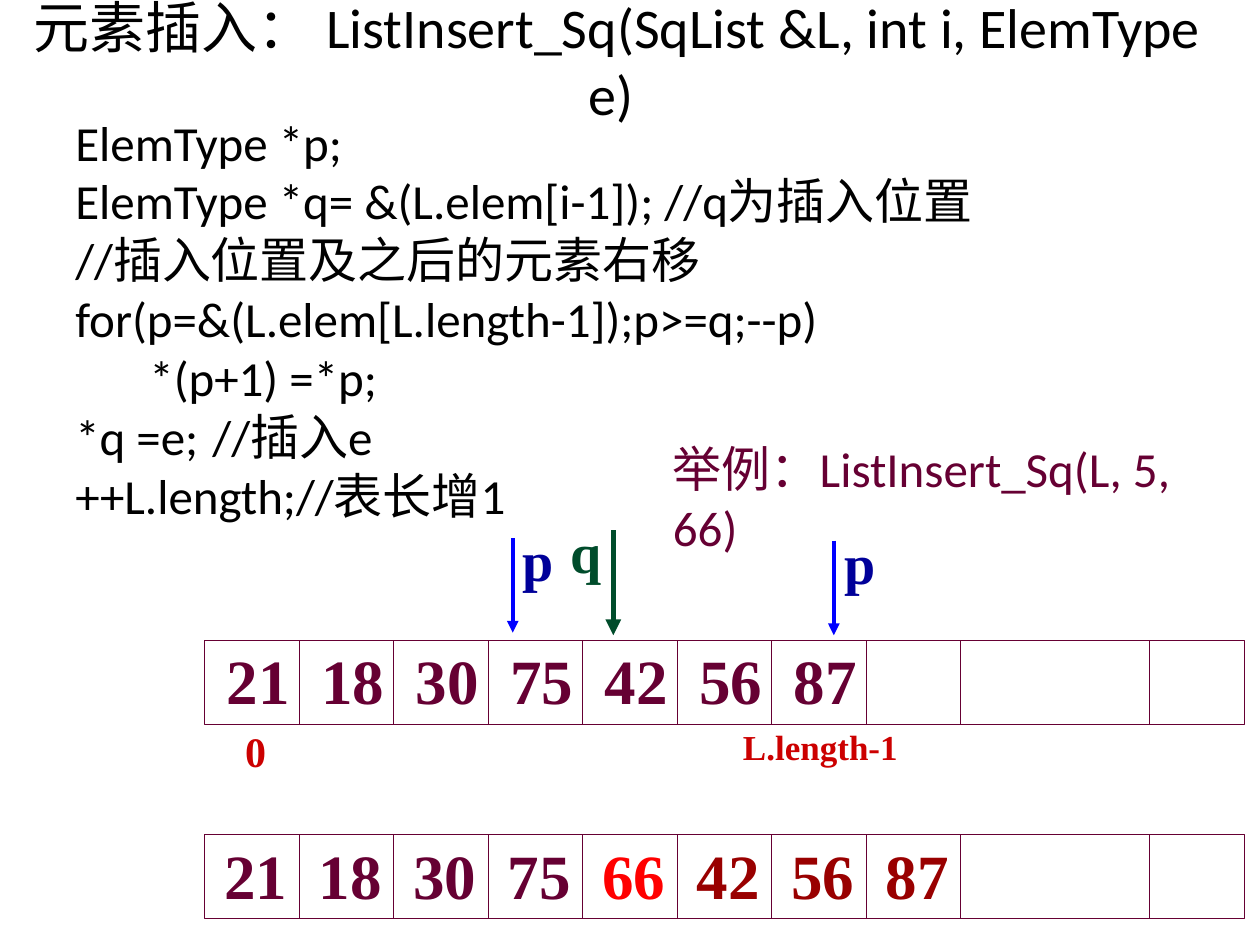
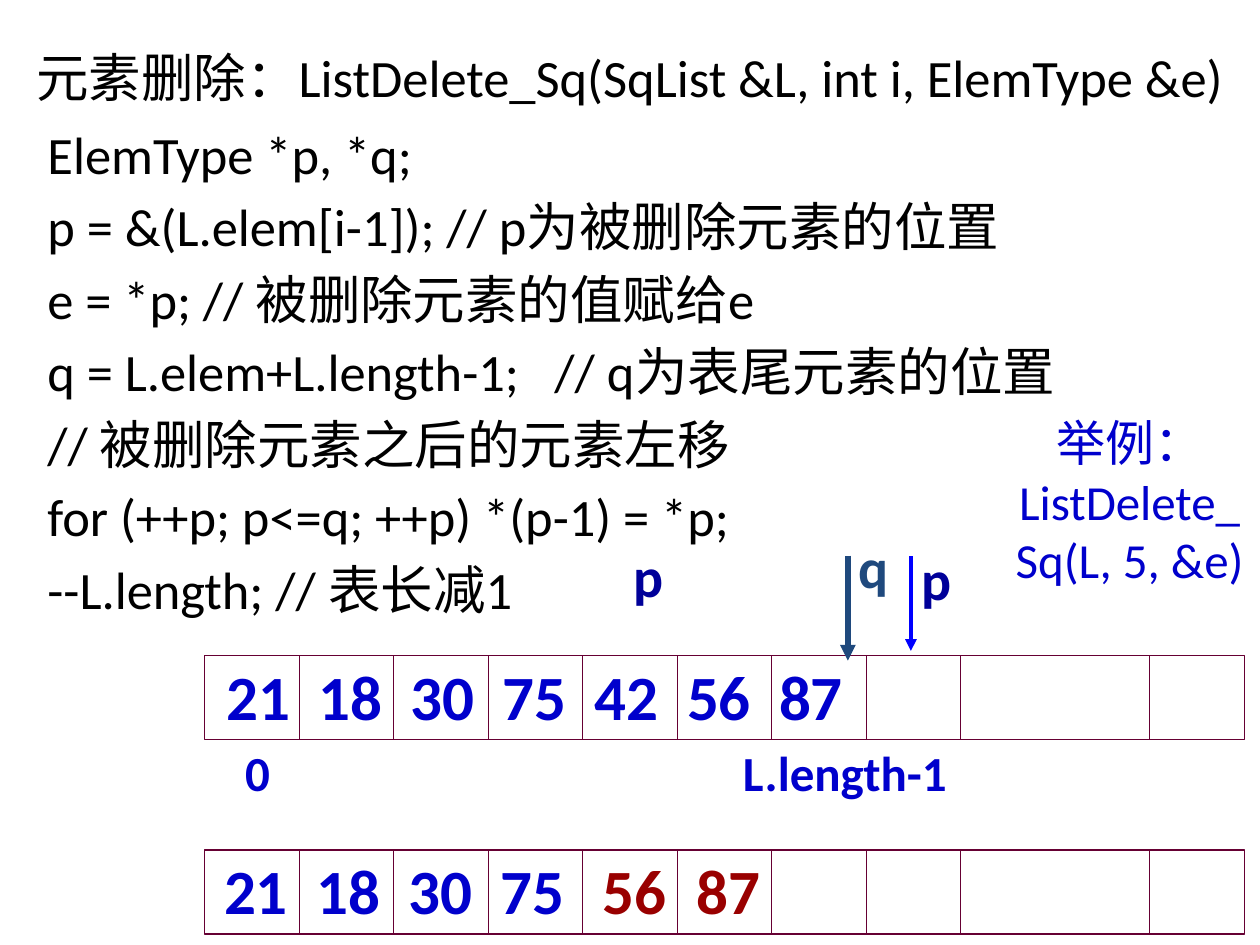
from lxml import etree
from pptx import Presentation
from pptx.dml.color import RGBColor
from pptx.enum.shapes import MSO_CONNECTOR, MSO_SHAPE
from pptx.enum.text import MSO_ANCHOR, PP_ALIGN
from pptx.oxml.ns import qn
from pptx.util import Pt

STRAIGHT = MSO_CONNECTOR.STRAIGHT
RECTANGLE = MSO_SHAPE.RECTANGLE
TOP, MIDDLE = MSO_ANCHOR.TOP, MSO_ANCHOR.MIDDLE
LEFT, CENTER = PP_ALIGN.LEFT, PP_ALIGN.CENTER

# Shared colours and fonts
BLACK, PLUM, BLUE = "000000", "660033", "0000CC"
INDEX_RED, MOVED_RED, NEW_RED = "CC0000", "990000", "FF0000"
P_LABEL, P_ARROW, Q_GREEN, Q_NAVY = "000099", "0000FF", "004C2B", "1F497D"
SANS, SERIF = "Calibri", "Times New Roman"

# Storage array: seven element cells, one spare, a wide gap, the last cell
ARRAY_LEFT, ARRAY_WIDTH, ARRAY_HEIGHT, CELL = 117, 594, 48, 54
DIVIDERS = [ARRAY_LEFT + CELL * n for n in (1, 2, 3, 4, 5, 6, 7, 8, 10)]
ROW_GAP = 111
VALUE_LEFT, VALUE_RISE = 121, 2.75

INSERT_CODE = [
    "ElemType *p;",
    "ElemType *q= &(L.elem[i-1]); //q为插入位置",
    "//插入位置及之后的元素右移\vfor(p=&(L.elem[L.length-1]);p>=q;--p)",
    "\t *(p+1) =*p;",
    "*q =e;\t //插入e",
    "++L.length;//表长增1",
]
DELETE_CODE = [
    "ElemType *p, *q;",
    "p = &(L.elem[i-1]); // p为被删除元素的位置",
    "e = *p; // 被删除元素的值赋给e",
    "q = L.elem+L.length-1;   // q为表尾元素的位置",
    "// 被删除元素之后的元素左移",
    "for (++p; p<=q; ++p) *(p-1) = *p;",
    "--L.length; // 表长减1",
]


def rgb(value):
    return RGBColor.from_string(value)


def add_tabs(paragraph, pitch, count):
    tabs = etree.SubElement(paragraph._p.get_or_add_pPr(), qn("a:tabLst"))
    for n in range(1, count):
        etree.SubElement(tabs, qn("a:tab"), pos=str(int(Pt(pitch * n))), algn="l")


def add_text(slide, box, lines, size, color, font=SANS, bold=False,
             align=LEFT, anchor=TOP, gap=0, tab_pitch=None):
    """Place lines of text, one paragraph each, in box (left, top, width, height)."""
    frame = slide.shapes.add_textbox(*map(Pt, box)).text_frame
    frame.word_wrap = True
    frame.vertical_anchor = anchor
    face = {"name": font, "size": Pt(size), "bold": bold}
    for n, line in enumerate(lines):
        paragraph = frame.add_paragraph() if n else frame.paragraphs[0]
        paragraph.text = line
        paragraph.alignment = align
        if n and gap:
            paragraph.space_before = Pt(gap)
        if tab_pitch:
            add_tabs(paragraph, tab_pitch, len(line.split("\t")))
        for run in paragraph.runs:
            for name, value in face.items():
                setattr(run.font, name, value)
            run.font.color.rgb = rgb(color)


def add_title(slide, box, text, size):
    add_text(slide, box, [text], size, BLACK, align=CENTER, anchor=MIDDLE)


def add_vertical(slide, x, top, length, color, width, arrow=False):
    line = slide.shapes.add_connector(STRAIGHT, Pt(x), Pt(top), Pt(x), Pt(top + length))
    line.line.color.rgb = rgb(color)
    line.line.width = Pt(width)
    if arrow:
        etree.SubElement(line.line._get_or_add_ln(), qn("a:tailEnd"), type="triangle")
    etree.SubElement(line._element.spPr, qn("a:effectLst"))


def add_array(slide, top):
    frame = slide.shapes.add_shape(RECTANGLE, *map(Pt, (ARRAY_LEFT, top, ARRAY_WIDTH, ARRAY_HEIGHT)))
    frame.shadow.inherit = False
    frame.fill.background()
    frame.line.color.rgb = rgb(PLUM)
    frame.line.width = Pt(0.75)
    for x in DIVIDERS:
        add_vertical(slide, x, top, ARRAY_HEIGHT, PLUM, 0.75)


def add_values(slide, left, row_top, values, color, font, pitch=CELL):
    box = (left, row_top - VALUE_RISE, pitch * len(values), 50.5)
    add_text(slide, box, ["\t".join(values)], 36, color, font, True, tab_pitch=pitch)


def add_before_after(slide, top, before, kept, moved, color, font, pitch):
    """Draw the array before the operation and, below it, after."""
    after_top = top + ROW_GAP
    add_array(slide, top)
    add_values(slide, VALUE_LEFT + 1.5, top, before, color, font, pitch)
    add_array(slide, after_top)
    add_values(slide, VALUE_LEFT, after_top, kept, color, font, pitch)
    for n, (value, value_color) in enumerate(moved, len(kept)):
        add_values(slide, VALUE_LEFT + CELL * n, after_top, [value], value_color, font)


def add_indexes(slide, top, color, font, first_size, last_size):
    add_text(slide, (133, top, 40, 40), ["0"], first_size, color, font, True)
    add_text(slide, (417.5, top, 150, 40), ["L.length-1"], last_size, color, font, True)


def add_label(slide, x, y, name, color, font):
    add_text(slide, (x, y, 34, 46), [name], 32, color, font, True)


def add_p(slide, x, top, font):
    add_vertical(slide, x, top, CELL, P_ARROW, 2.25, arrow=True)
    add_label(slide, x - 1.25, top - 10.5, "p", P_LABEL, font)


def add_q(slide, x, top, shift, rise, color, font):
    add_vertical(slide, x, top, 60, color, 3, arrow=True)
    add_label(slide, x + shift, top - rise, "q", color, font)


def build_insert(slide):
    add_title(slide, (0, -2, 705.5, 72.5),
              "元素插入： ListInsert_Sq(SqList &L, int i, ElemType e) ", 32)
    add_text(slide, (36, 60.5, 648, 479.5), INSERT_CODE, 28, BLACK)
    add_before_after(slide, 366, ["21", "18", "30", "75", "42", "56", "87"],
                     ["21", "18", "30", "75"],
                     [("66", NEW_RED), ("42", MOVED_RED), ("56", MOVED_RED), ("87", MOVED_RED)],
                     PLUM, SERIF, CELL)
    add_indexes(slide, 411, INDEX_RED, SERIF, 24, 20)
    add_p(slide, 293, 307.5, SERIF)
    add_p(slide, 476.5, 309, SERIF)
    add_q(slide, 350.5, 303, -31.5, 11, Q_GREEN, SERIF)
    add_text(slide, (377.5, 247, 341, 63), ["举例：ListInsert_Sq(L, 5, 66)"], 28, PLUM)


def build_delete(slide):
    add_title(slide, (0, 4.5, 720, 78.5),
              "元素删除：ListDelete_Sq(SqList &L, int i, ElemType &e)", 30)
    add_text(slide, (20, 66, 675, 436), DELETE_CODE, 30, BLACK, gap=5.4)
    add_before_after(slide, 374.75, ["21", "18", "30", "75", "42", "56", "87"],
                     ["21", "18", "30", "75"],
                     [("56", MOVED_RED), ("87", MOVED_RED)],
                     BLUE, SANS, 52.6)
    add_indexes(slide, 420.5, BLUE, SANS, 28, 28)
    add_label(slide, 355, 306, "p", P_LABEL, SANS)
    add_q(slide, 484.5, 317.5, -0.75, 16.5, Q_NAVY, SANS)
    add_p(slide, 520.5, 318, SANS)
    add_text(slide, (571, 232, 149, 109), ["举例：", "ListDelete_Sq(L, 5, &e)"], 28, BLUE,
             align=CENTER)


def main():
    deck = Presentation()
    deck.slide_width, deck.slide_height = Pt(720), Pt(540)
    blank = deck.slide_layouts[6]
    for build in (build_insert, build_delete):
        build(deck.slides.add_slide(blank))
    deck.save("out.pptx")


if __name__ == "__main__":
    main()
